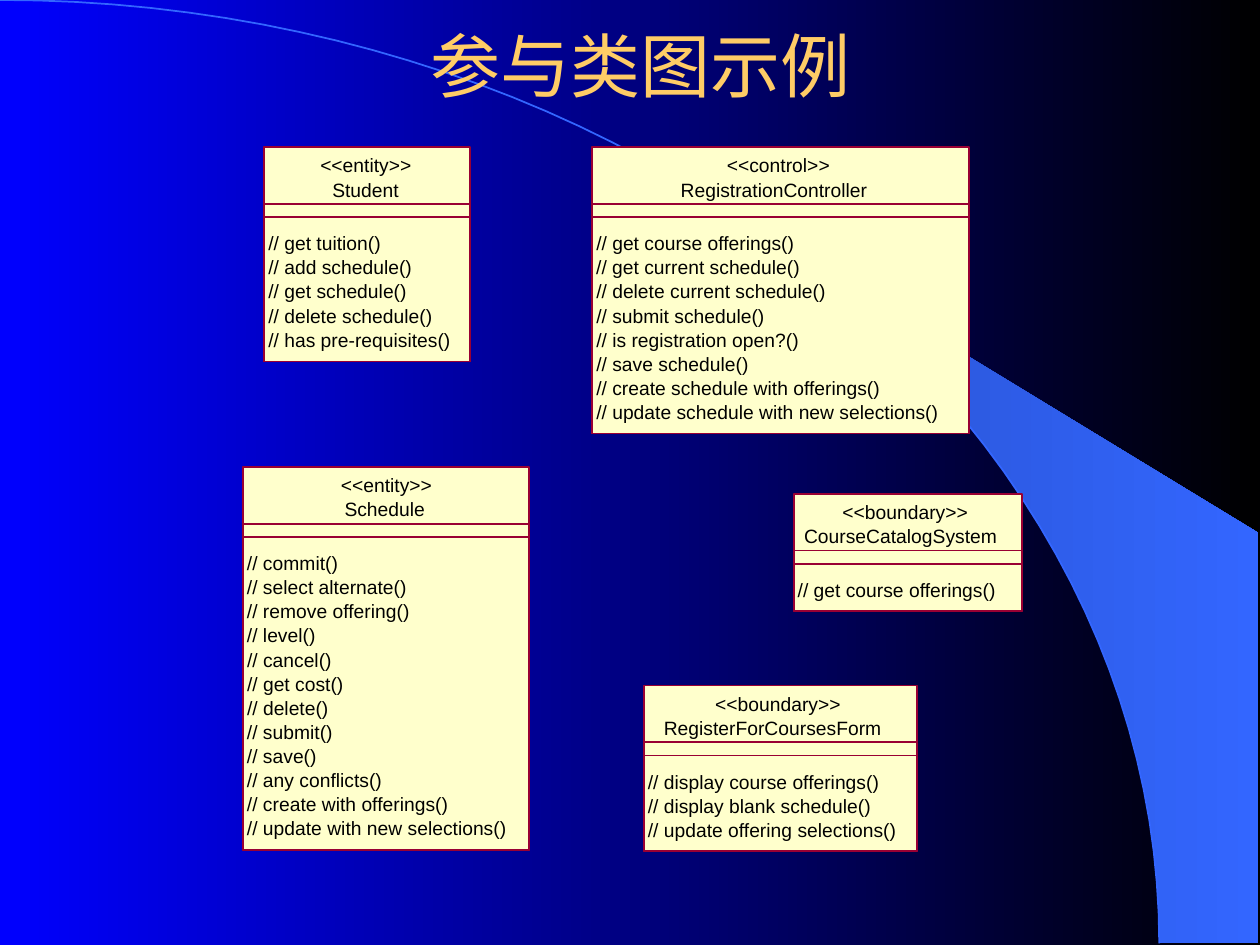
from dataclasses import dataclass
from math import asin, cos, pi, sin

from pptx import Presentation
from pptx.dml.color import RGBColor
from pptx.enum.shapes import MSO_SHAPE
from pptx.enum.text import MSO_ANCHOR, MSO_AUTO_SIZE, PP_ALIGN
from pptx.util import Cm, Pt


@dataclass(frozen=True)
class Theme:
    font: str = "Arial"
    head: int = 40
    body: int = 11
    rule: float = 1
    gold: str = "FFCC66"
    ink: str = "000000"
    cream: str = "FFFFCC"
    wine: str = "990033"
    sky: str = "3366FF"
    deep: str = "2851CC"
    blue: str = "0000FF"
    black: str = "000000"


THEME = Theme()
PITCH = Pt(THEME.body * 1.25).cm  # distance between text lines
LINE = 0.46  # height of one line of text
SLACK = 0.15  # spare width that keeps a label on one line

# Arial advance widths in ems, by letter
EMS = {char: em for chars, em in (
    ("ijl", 0.22), ("ft/ ", 0.28), ("()-r", 0.33), ("cksvxyz", 0.5),
    ("<>", 0.58), ("S", 0.67), ("CRw", 0.72), ("F", 0.61),
    ("m", 0.83)) for char in chars}

# box, shifts of the two heading lines, stereotype, name, operations
CLASSES = [
    ((5.33, 2.97, 4.14, 4.32), (-0.03, -0.03), "entity", "Student",
     ["get tuition()", "add schedule()", "get schedule()",
      "delete schedule()", "has pre-requisites()"]),
    ((11.94, 2.97, 7.59, 5.77), (-0.05, -0.14), "control",
     "RegistrationController",
     ["get course offerings()", "get current schedule()",
      "delete current schedule()", "submit schedule()",
      "is registration open?()", "save schedule()",
      "create schedule with offerings()",
      "update schedule with new selections()"]),
    ((16, 9.96, 4.6, 2.36), (-0.06, -0.15), "boundary",
     "CourseCatalogSystem", ["get course offerings()"]),
    ((12.98, 13.82, 5.51, 3.33), (-0.06, -0.17), "boundary",
     "RegisterForCoursesForm",
     ["display course offerings()", "display blank schedule()",
      "update offering selections()"]),
    ((4.9, 9.42, 5.77, 7.72), (0, -0.03), "entity", "Schedule",
     ["commit()", "select alternate()", "remove offering()", "level()",
      "cancel()", "get cost()", "delete()", "submit()", "save()",
      "any conflicts()", "create with offerings()",
      "update with new selections()"]),
]


def tint(code):
    return RGBColor.from_string(code)


def shade(fill, first, last):
    """Fill from left to right with two colours."""
    fill.gradient()
    fill.gradient_angle = 0
    for stop, code in zip(fill.gradient_stops, (first, last)):
        stop.color.rgb = tint(code)


def write(frame, text, size=THEME.body, color=THEME.ink, align=PP_ALIGN.LEFT):
    para = frame.paragraphs[0]
    para.alignment = align
    run = para.add_run()
    run.text = text
    run.font.name = THEME.font
    run.font.size = Pt(size)
    run.font.color.rgb = tint(color)


def measure(text):
    """Width of a line of body text in centimetres."""
    return Pt(sum(EMS.get(char, 0.556) for char in text) * THEME.body).cm


def label(slide, text, x, y):
    area = slide.shapes.add_textbox(
        Cm(x), Cm(y), Cm(measure(text) + SLACK), Cm(LINE))
    frame = area.text_frame
    frame.margin_left = frame.margin_right = 0
    frame.margin_top = frame.margin_bottom = 0
    frame.word_wrap = True
    frame.auto_size = MSO_AUTO_SIZE.SHAPE_TO_FIT_TEXT
    write(frame, text)


def pane(slide, x, y, w, h, color=None):
    rect = slide.shapes.add_shape(
        MSO_SHAPE.RECTANGLE, Cm(x), Cm(y), Cm(w), Cm(h))
    rect.shadow.inherit = False
    if color:
        rect.fill.solid()
        rect.fill.fore_color.rgb = tint(color)
    else:
        rect.fill.background()
    rect.line.color.rgb = tint(THEME.wine)
    rect.line.width = Pt(THEME.rule)


def outline(slide, points, close):
    points = [(Cm(x), Cm(y)) for x, y in points]
    maker = slide.shapes.build_freeform(*points[0])
    maker.add_line_segments(points[1:], close=close)
    shape = maker.convert_to_shape()
    shape.shadow.inherit = False
    return shape


def swoosh(slide, box, edge):
    """Quarter ellipse across the box, and a wedge from it to the edge."""
    x, y, w, h = box

    def arc(start, steps=48):
        turns = (start + (pi / 2 - start) * i / steps for i in range(steps + 1))
        return [(x + w * sin(t), y + h * (1 - cos(t))) for t in turns]

    corner = [(edge, y + h), (edge, y + h * 0.565)]
    wedge = outline(slide, arc(asin(0.64)) + corner, True)
    shade(wedge.fill, THEME.deep, THEME.sky)
    wedge.line.fill.background()

    curve = outline(slide, arc(0), False)
    curve.fill.background()
    curve.line.color.rgb = tint(THEME.sky)
    curve.line.width = Pt(THEME.rule)


def card(slide, box, shifts, kind, name, calls):
    """UML class with heading, empty attribute and operation panes."""
    x, y, w, h = box
    pane(slide, x, y, w, h, THEME.cream)
    for drop in (1.14, 1.41):
        pane(slide, x, y + drop, w, h - drop)
    # Heading
    for row, (text, shift) in enumerate(zip((f"<<{kind}>>", name), shifts)):
        left = x + (w - measure(text)) / 2 + shift
        label(slide, text, left, y + 0.13 + row * PITCH)
    # Operations
    for row, call in enumerate(calls):
        label(slide, f"// {call}", x + 0.08, y + 1.7 + row * PITCH)


def banner(slide, box, text):
    title = slide.shapes.title
    title.left, title.top, title.width, title.height = map(Cm, box)
    frame = title.text_frame
    frame.vertical_anchor = MSO_ANCHOR.MIDDLE
    frame.auto_size = MSO_AUTO_SIZE.NONE
    write(frame, text, size=THEME.head, color=THEME.gold,
          align=PP_ALIGN.CENTER)
    # Bring the title in front of the curve
    title.element.getparent().append(title.element)


def main():
    deck = Presentation()
    deck.slide_width, deck.slide_height = Cm(25.4), Cm(19.05)
    slide = deck.slides.add_slide(deck.slide_layouts[5])
    shade(slide.background.fill, THEME.blue, THEME.black)
    swoosh(slide, (0, 0, 23.37, 19.02), 25.37)
    for item in CLASSES:
        card(slide, *item)
    banner(slide, (2.11, 0.71, 21.59, 1.17), "参与类图示例")
    deck.save("out.pptx")


if __name__ == "__main__":
    main()
